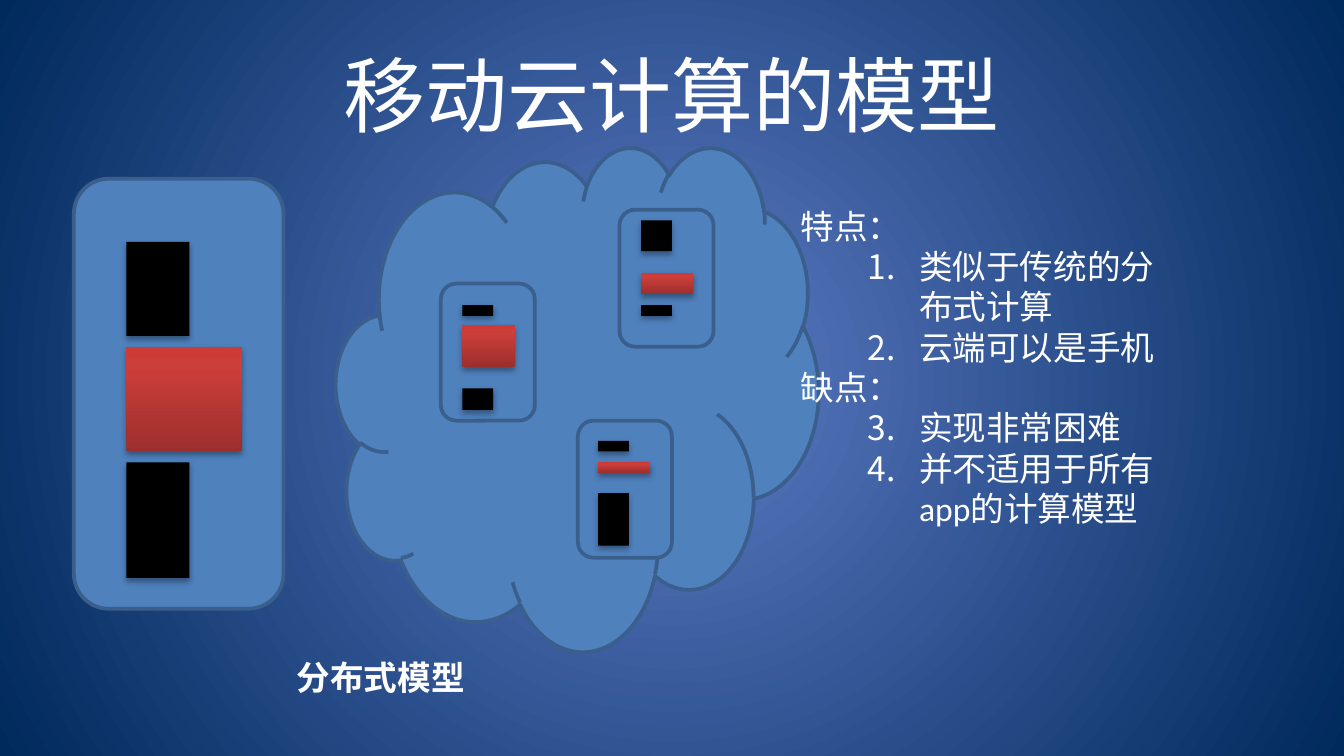
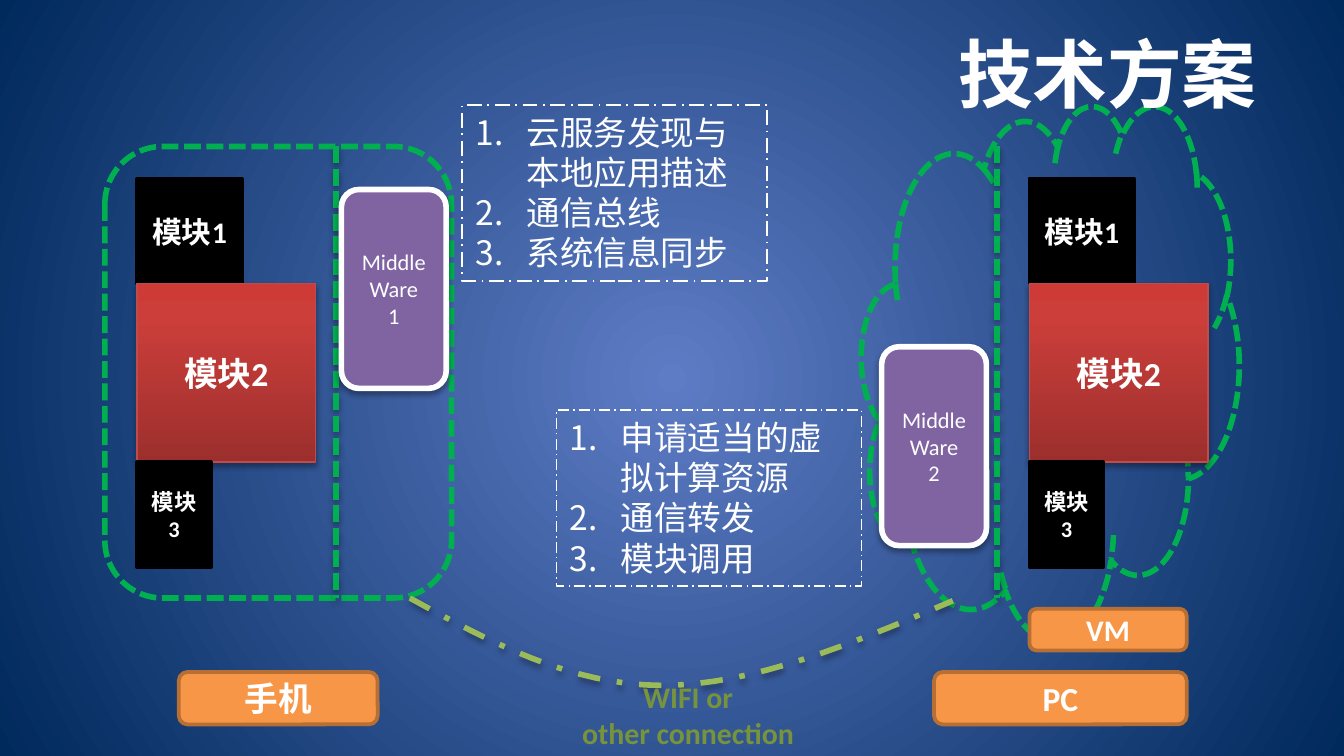
from pptx import Presentation
from pptx.dml.color import RGBColor
from pptx.enum.dml import MSO_LINE as DASH
from pptx.enum.shapes import MSO_CONNECTOR, MSO_SHAPE as KIND
from pptx.enum.text import MSO_ANCHOR as ANCHOR, PP_ALIGN as ALIGN
from pptx.oxml import parse_xml
from pptx.oxml.ns import nsdecls, qn
from pptx.util import Inches, Pt

FONT = "Calibri"
WHITE, BLACK, GREEN = "FFFFFF", "000000", "00B050"
BLUE, NAVY = "4F81BD", "3A5F8C"
ORANGE, BROWN = "F79646", "B76F34"
PURPLE, LIME, OLIVE = "8064A2", "9BBB59", "77933C"
RED_EDGE = "BF4C48"
NS = nsdecls("a")
hue = RGBColor.from_string

STOP = '<a:gs pos="{}"><a:srgbClr val="{}"/></a:gs>'
RED = (f'<a:gradFill {NS} rotWithShape="1"><a:gsLst>'
       + STOP.format(0, "9C2F2D") + STOP.format(80000, "CB3E3A")
       + STOP.format(100000, "CE3B37")
       + '</a:gsLst><a:lin ang="16200000" scaled="0"/></a:gradFill>')
GLOW = (f'<a:gradFill {NS} rotWithShape="1"><a:gsLst>'
        + STOP.format(0, "5E7CC5") + STOP.format(100000, "00295C")
        + '</a:gsLst><a:path path="circle"><a:fillToRect l="50000" t="50000"'
        ' r="50000" b="50000"/></a:path></a:gradFill>')
SHADE = ('<a:outerShdw blurRad="40000" dist="23000" dir="5400000" rotWithShape="0">'
         '<a:srgbClr val="000000"><a:alpha val="35000"/></a:srgbClr></a:outerShdw>')


def style(shape, fill=None, line=None, width=2, dash=None, shade=False):
    """Set fill, line and shadow of a shape or connector."""
    props = shape.element.spPr
    if hasattr(shape, "fill"):
        shape.fill.background()
        if fill == RED:
            props.replace(props.find(qn("a:noFill")), parse_xml(RED))
        elif fill:
            shape.fill.solid()
            shape.fill.fore_color.rgb = hue(fill)
    if line:
        shape.line.color.rgb = hue(line)
        shape.line.width = Pt(width)
        if dash:
            shape.line.dash_style = dash
    else:
        shape.line.fill.background()
    props.append(parse_xml(
        f'<a:effectLst {NS}>{SHADE if shade else ""}</a:effectLst>'))
    return shape


def write(shape, rows, size, color=WHITE, bold=False, align=ALIGN.CENTER,
          anchor=ANCHOR.MIDDLE, wrap=True):
    """Fill a shape with rows: plain text, or (text, margin, first number)."""
    frame = shape.text_frame
    frame.word_wrap = wrap
    frame.vertical_anchor = anchor
    for i, row in enumerate(rows):
        para = frame.add_paragraph() if i else frame.paragraphs[0]
        text, left, start = (row, 0, None) if isinstance(row, str) else row
        para.text = text
        para.alignment = align
        if left:
            props = para._p.get_or_add_pPr()
            props.set("marL", str(Inches(left)))
            props.set("indent", str(Inches(-0.38)))
            if left > 0.5:
                para.level = 1
            if start:
                props.append(parse_xml(
                    f'<a:buAutoNum {NS} type="arabicPeriod" startAt="{start}"/>'))
        font = para.font
        font.name, font.size, font.bold = FONT, Pt(size), bold
        font.color.rgb = hue(color)


# A 16:9 deck
deck = Presentation()
deck.slide_width = Inches(10)
deck.slide_height = deck.slide_width * 9 // 16
blank = deck.slide_layouts[6]

# Shared background
deck.slide_master.background.fill.solid()
back = deck.slide_master.element.cSld.find(qn("p:bg")).find(qn("p:bgPr"))
back.replace(back.find(qn("a:solidFill")), parse_xml(GLOW))

# Slide 1: the distributed model
page = deck.slides.add_slide(blank).shapes
title = page.add_textbox(*map(Inches, (0.5, 0.23, 9, 0.94)))
write(title, ["移动云计算的模型"], 44)

# Phone and cloud
for kind, at in ((KIND.ROUNDED_RECTANGLE, (0.55, 1.33, 1.56, 3.2)),
                 (KIND.CLOUD, (2.5, 1.09, 3.59, 3.75))):
    style(page.add_shape(kind, *map(Inches, at)), BLUE, NAVY)

# Nodes inside the cloud
for x, y in ((4.61, 1.56), (3.28, 2.11), (4.3, 3.13)):
    node = page.add_shape(KIND.ROUNDED_RECTANGLE, *map(Inches, (x, y, 0.7, 1.02)))
    style(node, BLUE, NAVY)

# Module stacks: left, black width, red width, then (top, height) of each bar
stacks = (
    (0.94, 0.47, 0.86, ((1.8, 0.7), (2.58, 0.78), (3.44, 0.86))),
    (4.77, 0.23, 0.39, ((1.64, 0.23), (2.03, 0.16), (2.27, 0.08))),
    (3.44, 0.23, 0.39, ((2.27, 0.08), (2.42, 0.31), (2.89, 0.16))),
    (4.45, 0.23, 0.39, ((3.28, 0.08), (3.44, 0.08), (3.67, 0.39))),
)
for x, thin, wide, bars in stacks:
    for (y, high), w, fill in zip(bars, (thin, wide, thin), (BLACK, RED, BLACK)):
        bar = page.add_shape(KIND.RECTANGLE, *map(Inches, (x, y, w, high)))
        style(bar, fill, shade=True)

# Caption and remarks
label = page.add_textbox(*map(Inches, (2.11, 4.84, 1.47, 0.4)))
write(label, ["分布式模型"], 18, bold=True, align=ALIGN.LEFT,
      anchor=ANCHOR.TOP, wrap=False)
notes = page.add_textbox(*map(Inches, (5.86, 1.48, 3.05, 2.52)))
write(notes, ["特点：",
              ("类似于传统的分布式计算", 0.88, 1),
              ("云端可以是手机", 0.88, 1),
              ("缺点：", 0.38, None),
              ("实现非常困难", 0.88, 3),
              ("并不适用于所有app的计算模型", 0.88, 3)],
      18, align=ALIGN.LEFT, anchor=ANCHOR.TOP)

# Slide 2: the technical solution
page = deck.slides.add_slide(blank).shapes

# Phone and PC: frame, modules, divider, middleware
sides = (
    (KIND.ROUNDED_RECTANGLE, (0.78, 1.09, 2.58, 3.36), 1.02, 2.5, (2.54, 1.41), "1"),
    (KIND.CLOUD, (6.41, 0.78, 2.81, 3.98), 7.66, 7.42, (6.56, 2.58), "2"),
)
modules = (
    ("模块1", 1.33, 0.78, 0.78, 16),
    ("模块2", 2.11, 1.33, 1.33, 18),
    ("模块3", 3.44, 0.55, 0.78, 12),
)
for kind, at, x, split, spot, num in sides:
    frame = page.add_shape(kind, *map(Inches, at))
    style(frame, None, GREEN, 3, DASH.SQUARE_DOT)
    for name, y, w, high, size in modules:
        part = page.add_shape(KIND.RECTANGLE, *map(Inches, (x, y, w, high)))
        if name == "模块2":
            style(part, RED, RED_EDGE, 0.75, shade=True)
        else:
            style(part, BLACK, BLACK)
        write(part, [name], size, bold=True)
    rule = page.add_connector(MSO_CONNECTOR.STRAIGHT,
                              *map(Inches, (split, 1.09, split, 4.45)))
    style(rule, None, GREEN, 3, DASH.SQUARE_DOT, shade=True)
    ware = page.add_shape(KIND.ROUNDED_RECTANGLE, *map(Inches, (*spot, 0.78, 1.48)))
    style(ware, PURPLE, WHITE, 3, shade=True)
    write(ware, ["Middle Ware", num], 12)

# Orange labels
for text, at, size in (("手机", (1.33, 5, 1.48, 0.39), 18),
                       ("PC", (6.95, 5, 1.88, 0.39), 18),
                       ("VM", (7.66, 4.53, 1.17, 0.31), 16)):
    tag = page.add_shape(KIND.ROUNDED_RECTANGLE, *map(Inches, at))
    style(tag, ORANGE, BROWN)
    write(tag, [text], size, bold=True)

# Task lists
for x, y, width, tasks in (
        (3.44, 0.78, 1, ("云服务发现与本地应用描述", "通信总线", "系统信息同步")),
        (4.14, 3.05, 0.75, ("申请适当的虚拟计算资源", "通信转发", "模块调用"))):
    card = page.add_shape(KIND.RECTANGLE, *map(Inches, (x, y, 2.27, 1.31)))
    style(card, None, WHITE, width, DASH.LONG_DASH_DOT)
    write(card, [(task, 0.38, 1) for task in tasks], 18,
          align=ALIGN.LEFT, anchor=ANCHOR.TOP)

# Curved link, traced along two cubic arcs
arcs = (((3.05, 4.45), (3.65, 4.78), (4.25, 5.1), (4.93, 5.1)),
        ((4.93, 5.1), (5.6, 5.1), (6.34, 4.79), (7.09, 4.47)))
steps = 16
dots = []
for arc in arcs:
    for i in range(1, steps + 1):
        t = i / steps
        mix = ((1 - t) ** 3, 3 * t * (1 - t) ** 2, 3 * t * t * (1 - t), t ** 3)
        dots.append([Inches(sum(m * p[k] for m, p in zip(mix, arc)))
                     for k in (0, 1)])
link = page.build_freeform(*map(Inches, arcs[0][0]))
link.add_line_segments(dots, close=False)
style(link.convert_to_shape(), None, LIME, 3, DASH.DASH_DOT, shade=True)

# Link label and title
label = page.add_textbox(*map(Inches, (4.22, 5, 1.8, 0.64)))
write(label, ["WIFI or", "other connection"], 16, OLIVE, True,
      anchor=ANCHOR.TOP, wrap=False)
title = page.add_textbox(*map(Inches, (7.03, 0.16, 2.45, 0.77)))
write(title, ["技术方案"], 40, bold=True, align=ALIGN.LEFT,
      anchor=ANCHOR.TOP, wrap=False)

deck.save("out.pptx")
